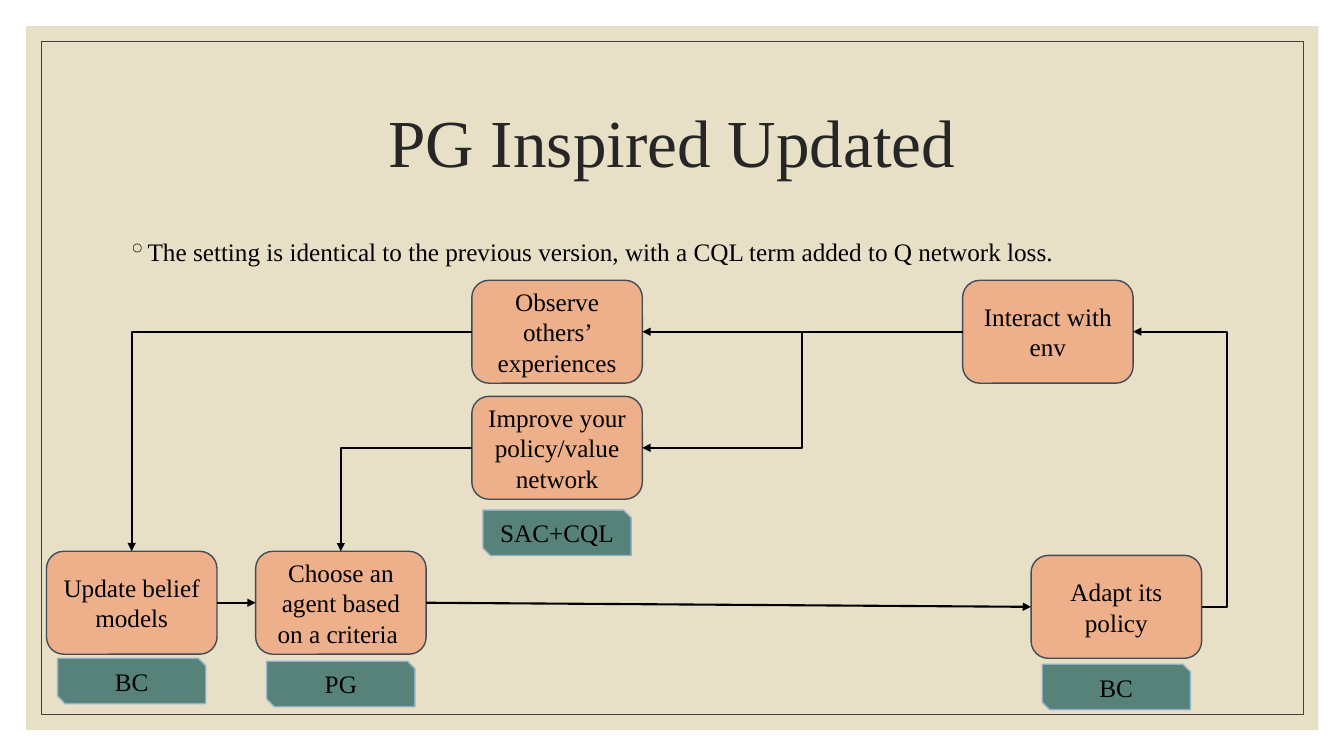
from lxml import etree
from pptx import Presentation
from pptx.dml.color import RGBColor
from pptx.enum import shapes, text
from pptx.oxml import ns
from pptx.util import Pt

FONT = "Times New Roman"
BLACK = RGBColor(0x00, 0x00, 0x00)
TITLE_GREY = RGBColor(0x26, 0x26, 0x26)
FRAME_GREY = RGBColor(0x40, 0x40, 0x40)
CREAM = RGBColor(0xE7, 0xE0, 0xC7)
PEACH = RGBColor(0xEE, 0xB0, 0x8B)
SLATE = RGBColor(0x40, 0x4D, 0x58)
TEAL = RGBColor(0x57, 0x82, 0x79)
PALE_BLUE = RGBColor(0x92, 0xB0, 0xC8)

STEP_W, STEP_H = 121.8, 73.5
METHOD_W, METHOD_H = 105.8, 32.4
TOP, LEFT, RIGHT = 0, 1, 3

STEPS = {
    "belief": ("Update belief models", 33.2, 393.8),
    "choose": ("Choose an agent based on a criteria ", 182.6, 393.8),
    "adapt": ("Adapt its policy", 736.5, 396.7),
    "interact": ("Interact with env", 687.6, 200.2),
    "improve": ("Improve your policy/value network", 337, 283.1),
    "observe": ("Observe others’ experiences", 337, 200.2),
}
METHODS = [("improve", "SAC+CQL", 7.8), ("choose", "PG", 5),
           ("belief", "BC", 2.9), ("adapt", "BC", 4.3)]
FLOWS = [
    ("belief", RIGHT, "choose", LEFT, "line", None),
    ("choose", RIGHT, "adapt", LEFT, "line", None),
    ("adapt", RIGHT, "interact", RIGHT, "bentConnector3", -36700),
    ("observe", LEFT, "belief", TOP, "bentConnector2", None),
    ("improve", LEFT, "choose", TOP, "bentConnector2", None),
    ("interact", LEFT, "observe", RIGHT, "line", None),
    ("interact", LEFT, "improve", RIGHT, "bentConnector3", 50000),
]


def write(frame, wording, size=18, color=BLACK, align=text.PP_ALIGN.CENTER,
          anchor=text.MSO_ANCHOR.MIDDLE):
    """Put one formatted paragraph in a text frame and return it."""
    frame.word_wrap = True
    frame.vertical_anchor = anchor
    paragraph = frame.paragraphs[0]
    paragraph.alignment = align
    run = paragraph.add_run()
    run.text = wording
    run.font.name, run.font.size, run.font.color.rgb = FONT, Pt(size), color
    return paragraph


def add_block(slide, preset, box, fill=None, line=None, width=1):
    """Add a flat preset shape with an optional fill and outline."""
    block = slide.shapes.add_shape(preset, *map(Pt, box))
    block.shadow.inherit = False
    if fill is None:
        block.fill.background()
    else:
        block.fill.solid()
        block.fill.fore_color.rgb = fill
    if line is None:
        block.line.fill.background()
    else:
        block.line.color.rgb = line
        block.line.width = Pt(width)
    return block


def add_flow(slide, source, source_site, target, target_site, route, bend):
    """Join two steps with an arrow that stays attached to both."""
    kind = shapes.MSO_CONNECTOR.STRAIGHT if route == "line" else shapes.MSO_CONNECTOR.ELBOW
    flow = slide.shapes.add_connector(kind, 0, 0, 0, 0)
    flow.begin_connect(source, source_site)
    flow.end_connect(target, target_site)
    flow.line.color.rgb = BLACK
    flow.line.width = Pt(1.5)
    properties = flow.element.spPr
    geometry = properties.find(ns.qn("a:prstGeom"))
    geometry.set("prst", route)
    if bend is not None:
        guides = geometry.find(ns.qn("a:avLst"))
        etree.SubElement(guides, ns.qn("a:gd"), name="adj1", fmla=f"val {bend}")
    outline = properties.find(ns.qn("a:ln"))
    etree.SubElement(outline, ns.qn("a:tailEnd"), type="triangle")
    etree.SubElement(properties, ns.qn("a:effectLst"))


def add_bullet(slide, wording, box):
    """Add a text box holding one bulleted line."""
    body = slide.shapes.add_textbox(*map(Pt, box))
    paragraph = write(body.text_frame, wording, align=text.PP_ALIGN.LEFT,
                      anchor=text.MSO_ANCHOR.TOP)
    paragraph.space_before = Pt(9)
    layout = paragraph._p.get_or_add_pPr()
    layout.set("marL", str(Pt(14.4)))
    layout.set("indent", str(-Pt(14.4)))
    bullet_color = etree.SubElement(layout, ns.qn("a:buClr"))
    etree.SubElement(bullet_color, ns.qn("a:srgbClr"), val=str(TITLE_GREY))
    etree.SubElement(layout, ns.qn("a:buChar"), char="◦")


def add_title(slide, wording, box):
    """Move, format and raise the title placeholder."""
    title = slide.shapes.title
    title.left, title.top, title.width, title.height = map(Pt, box)
    write(title.text_frame, wording, size=48, color=TITLE_GREY).line_spacing = 0.9
    title.element.getparent().append(title.element)


def main():
    """Build the slide and save it."""
    deck = Presentation()
    deck.slide_width, deck.slide_height = Pt(960), Pt(540)
    slide = deck.slides.add_slide(deck.slide_layouts[5])
    preset = shapes.MSO_SHAPE

    add_block(slide, preset.RECTANGLE, (18.7, 18.7, 923, 502.6), fill=CREAM)
    add_block(slide, preset.RECTANGLE, (29.5, 29.5, 901.4, 481), line=FRAME_GREY, width=0.5)
    add_title(slide, "PG Inspired Updated", (84, 50.4, 792, 108))
    add_bullet(slide, "The setting is identical to the previous version, "
               "with a CQL term added to Q network loss.", (84, 165.6, 792, 309.6))

    steps = {}
    for key, (wording, left, top) in STEPS.items():
        steps[key] = add_block(slide, preset.ROUNDED_RECTANGLE,
                               (left, top, STEP_W, STEP_H), PEACH, SLATE)
        write(steps[key].text_frame, wording)

    for source, source_site, target, target_site, route, bend in FLOWS:
        add_flow(slide, steps[source], source_site, steps[target], target_site, route, bend)

    for key, wording, gap in METHODS:
        _, left, top = STEPS[key]
        box = (left + (STEP_W - METHOD_W) / 2, top + STEP_H + gap, METHOD_W, METHOD_H)
        method = add_block(slide, preset.SNIP_2_DIAG_RECTANGLE, box, TEAL, PALE_BLUE)
        write(method.text_frame, wording)

    deck.save("out.pptx")


if __name__ == "__main__":
    main()
